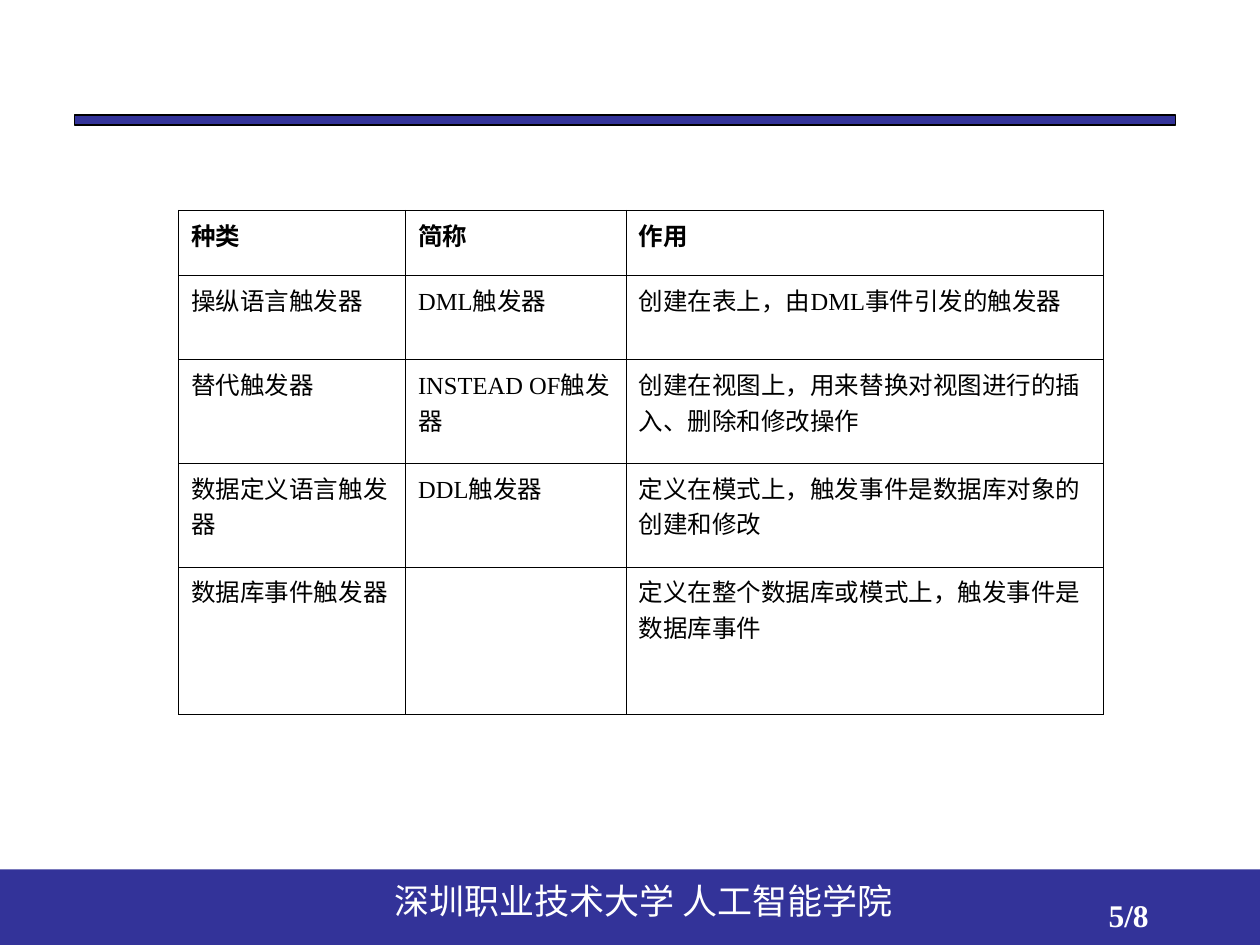
"""Build a slide with a table of database trigger types."""
from lxml import etree
from pptx import Presentation
from pptx.dml.color import RGBColor
from pptx.enum import shapes
from pptx.oxml import ns
from pptx.util import Pt

NAVY = RGBColor(0x33, 0x33, 0x99)
BLACK = RGBColor(0, 0, 0)
WHITE = RGBColor(0xFF, 0xFF, 0xFF)
LATIN_FONT = "Times New Roman"
CHINESE_FONT = "Noto Sans CJK SC"

COLUMN_WIDTHS = [129.6, 126, 272.6]
ROW_HEIGHTS = [37.2, 48.2, 59.2, 59.2, 84.2]
TRIGGERS = [
    ["种类", "简称", "作用"],
    ["操纵语言触发器", "DML触发器", "创建在表上，由DML事件引发的触发器"],
    ["替代触发器", "INSTEAD OF触发器", "创建在视图上，用来替换对视图进行的插入、删除和修改操作"],
    ["数据定义语言触发器", "DDL触发器", "定义在模式上，触发事件是数据库对象的创建和修改"],
    ["数据库事件触发器", "", "定义在整个数据库或模式上，触发事件是数据库事件"],
]


def add_run(paragraph, words, size, color, bold=False, latin=LATIN_FONT):
    run = paragraph.add_run()
    run.text = words
    run.font.size = Pt(size)
    run.font.bold = bold
    run.font.color.rgb = color
    run.font.name = latin
    etree.SubElement(run.font._element, ns.qn("a:ea"), typeface=CHINESE_FONT)


def add_borders(cell):
    properties = cell._tc.get_or_add_tcPr()
    for side in ("lnL", "lnR", "lnT", "lnB"):
        line = etree.SubElement(properties, ns.qn(f"a:{side}"), w=str(Pt(0.45)))
        fill = etree.SubElement(line, ns.qn("a:solidFill"))
        etree.SubElement(fill, ns.qn("a:srgbClr"), val=str(BLACK))


presentation = Presentation()
presentation.slide_width, presentation.slide_height = Pt(720), Pt(540)
slide = presentation.slides.add_slide(presentation.slide_layouts[6])

footer_band = slide.shapes.add_shape(
    shapes.MSO_SHAPE.RECTANGLE, Pt(0), Pt(496.8), Pt(720), Pt(43.2))
title_rule = slide.shapes.add_shape(
    shapes.MSO_SHAPE.RECTANGLE, Pt(42.4), Pt(65.8), Pt(629.4), Pt(5.6))
for bar in (footer_band, title_rule):
    bar.shadow.inherit = False
    bar.fill.solid()
    bar.fill.fore_color.rgb = NAVY
footer_band.line.fill.background()
title_rule.line.color.rgb = BLACK
title_rule.line.width = Pt(0.75)

school = slide.shapes.add_textbox(Pt(218.2), Pt(499), Pt(355.7), Pt(31.7))
school.text_frame.word_wrap = True
add_run(school.text_frame.paragraphs[0], "深圳职业技术大学 人工智能学院", 20, WHITE,
        latin=CHINESE_FONT)

table = slide.shapes.add_table(
    len(ROW_HEIGHTS), len(COLUMN_WIDTHS), Pt(102.1), Pt(120.2),
    Pt(sum(COLUMN_WIDTHS)), Pt(sum(ROW_HEIGHTS))).table
for column, width in zip(table.columns, COLUMN_WIDTHS):
    column.width = Pt(width)
for row_index, (row, height) in enumerate(zip(table.rows, ROW_HEIGHTS)):
    row.height = Pt(height)
    for cell, words in zip(row.cells, TRIGGERS[row_index]):
        add_borders(cell)
        cell.fill.background()
        if words:
            add_run(cell.text_frame.paragraphs[0], words, 14, BLACK, bold=row_index == 0)

page_number = slide.shapes.add_textbox(Pt(626.4), Pt(508.3), Pt(167.8), Pt(37.4))
page_number.text_frame.word_wrap = True
add_run(page_number.text_frame.paragraphs[0], "5/8", 18, WHITE, bold=True)

presentation.save("out.pptx")
